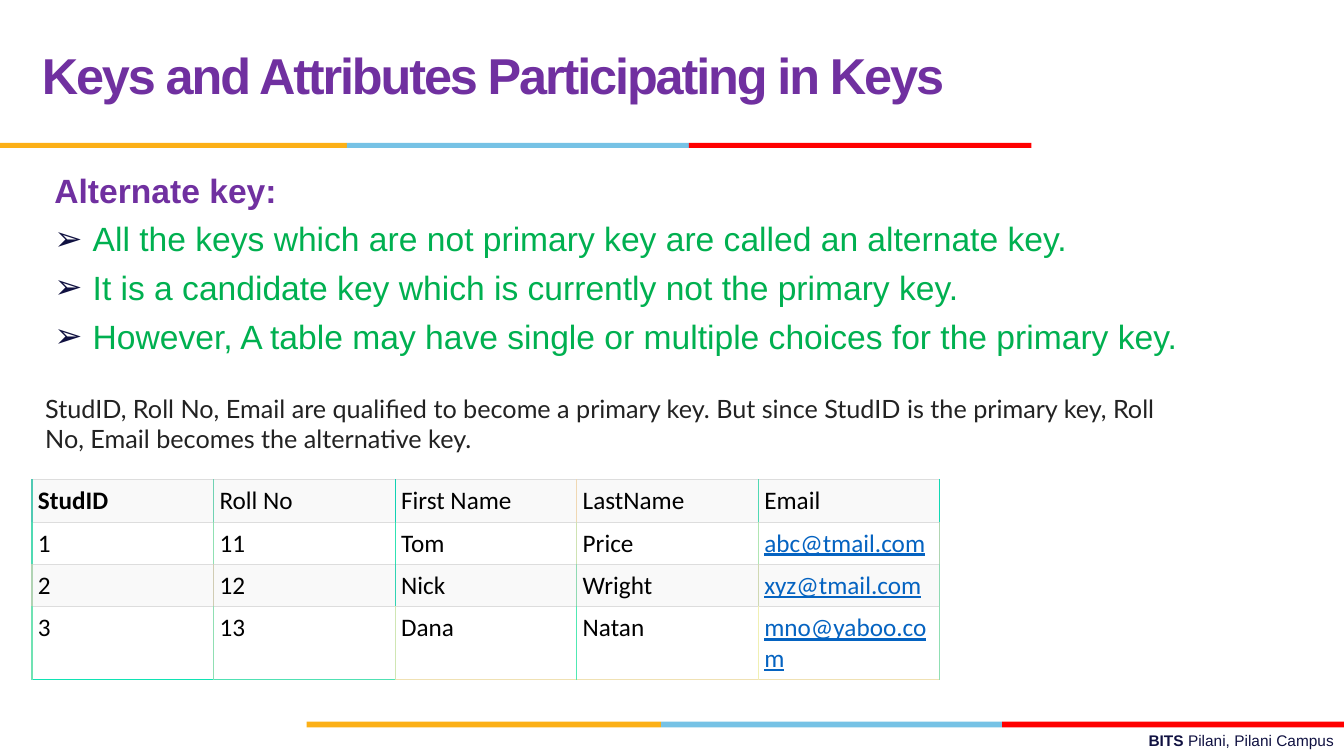
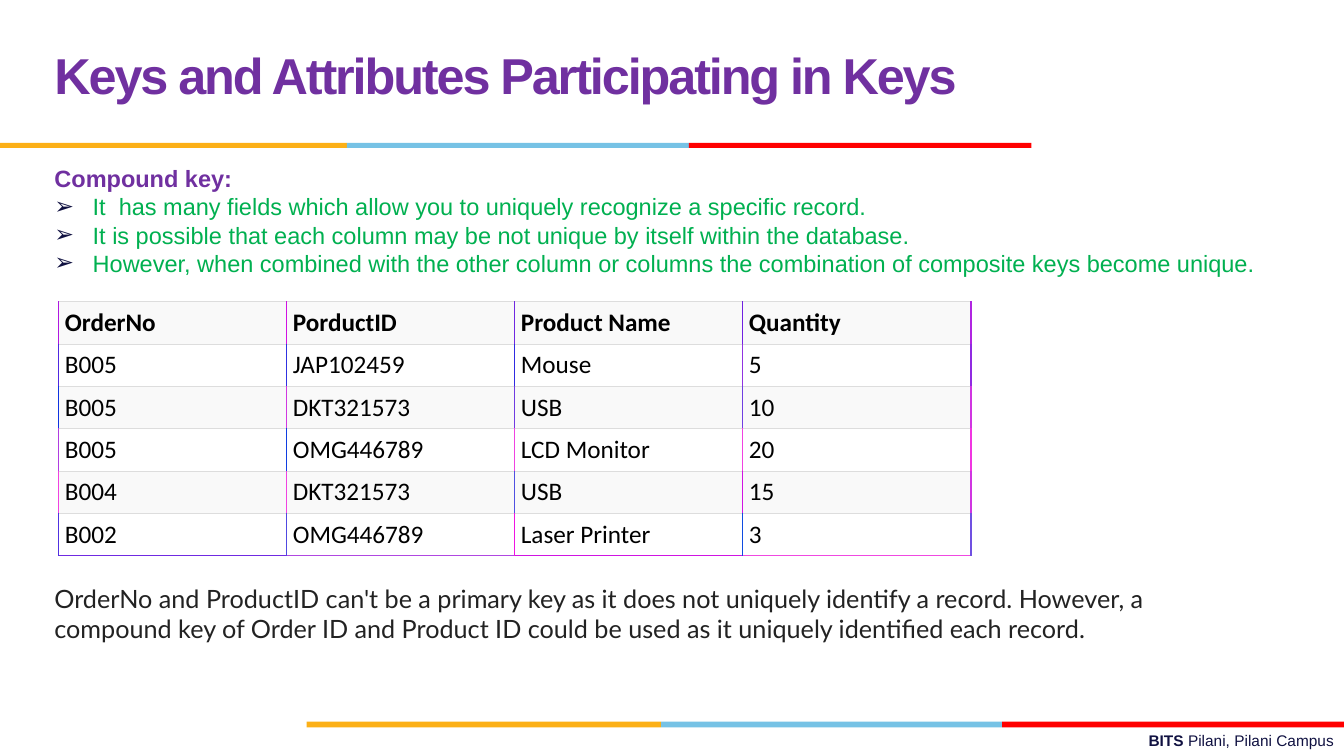
from lxml import etree
from pptx import Presentation
from pptx import util as u
from pptx.dml.color import RGBColor
from pptx.enum import shapes, text
from pptx.oxml.ns import qn

COLUMNS, ROWS = 160, 90
UNIT = u.Inches(1) / 12
PURPLE = RGBColor(0x70, 0x30, 0xA0)
GREEN = RGBColor(0x00, 0xB0, 0x50)
NAVY = RGBColor(0x10, 0x11, 0x41)
ORANGE = RGBColor(0xFC, 0xB0, 0x17)
SKY = RGBColor(0x76, 0xC2, 0xE5)
RED = RGBColor(0xFF, 0x00, 0x00)
BLACK = RGBColor(0x00, 0x00, 0x00)
CHARCOAL = RGBColor(0x22, 0x22, 0x22)
LINK = RGBColor(0x05, 0x63, 0xC1)
STRIPES = RGBColor(0xF9, 0xF9, 0xF9), RGBColor(0xFF, 0xFF, 0xFF)
RULE = RGBColor(0xDD, 0xDD, 0xDD)

TITLE = "Keys and Attributes Participating in Keys"

ALTERNATE = {
    "title_left": 3.8,
    "points": {
        "box": (5.3, 19.6, 149.3, 24.1), "size": 24, "spacing": 1.0,
        "heading": "Alternate key:",
        "items": [
            "All the keys which are not primary key are called an alternate key.",
            "It is a candidate key which is currently not the primary key.",
            "However, A table may have single or multiple choices for the primary key.",
        ],
    },
    "records": {
        "box": (3.8, 57.1, 108.1, 19.8), "bold_headings": 1,
        "rows": [
            ["StudID", "Roll No", "First Name", "LastName", "Email"],
            ["1", "11", "Tom", "Price", "abc@tmail.com"],
            ["2", "12", "Nick", "Wright", "xyz@tmail.com"],
            ["3", "13", "Dana", "Natan", "mno@yaboo.com"],
        ],
        "edges": [
            "50C9B3 70D2B3 10D1B3 F0D8B3 50D9B3 10D8B3",
            "50DAB3 90E0B3 30E2B3 D0E3B3 B0E6B3 B0D5B3",
            "B0D3B3 D0CCB3 30D3B3 90DAB3 D0D9B3 90DAB3",
            "70E2B3 90DFB3 D0E6B3 50E9B3 F0F0B3 90DFB3",
        ],
        "base": "10E3B3 50E1B3 F0E1B3 F0E1B3 F0E1B3",
    },
    "remark": {
        "box": (4.2, 46.2, 138.6, 8.5),
        "wording": "StudID, Roll No, Email are qualified to become a primary key. "
                   "But since StudID is the primary key, Roll No, Email becomes "
                   "the alternative key.",
    },
}

COMPOUND = {
    "title_left": 5.3,
    "points": {
        "box": (5.3, 19.6, 148.8, 15), "size": 16.8, "spacing": 0.8,
        "heading": "Compound key:",
        "items": [
            "It  has many fields which allow you to uniquely recognize a specific record.",
            "It is possible that each column may be not unique by itself within the database.",
            "However, when combined with the other column or columns the combination "
            "of composite keys become unique.",
        ],
    },
    "records": {
        "box": (7, 35.9, 108.6, 29.7), "bold_headings": 4,
        "rows": [
            ["OrderNo", "PorductID", "Product Name", "Quantity"],
            ["B005", "JAP102459", "Mouse", "5"],
            ["B005", "DKT321573", "USB", "10"],
            ["B005", "OMG446789", "LCD Monitor", "20"],
            ["B004", "DKT321573", "USB", "15"],
            ["B002", "OMG446789", "Laser Printer", "3"],
        ],
        "edges": [
            "B018E2 D012E2 7028E1 7021E1 B025E1",
            "5028E1 3031E1 302AE1 9034E1 902AE1",
            "1033E1 D038E1 703BE1 703FE1 D035E1",
            "B03DE1 103EE1 F042E1 F042E1 F035E1",
            "F042E1 F043E1 5050E1 D014E2 D035E1",
            "5031E1 5049E1 F014E2 104CE1 7050E1",
        ],
        "base": "702AE1 B048E1 D014E2 F049E1",
    },
    "remark": {
        "box": (5.3, 68.8, 133.4, 8.5),
        "wording": "OrderNo and ProductID can't be a primary key as it does not uniquely "
                   "identify a record. However, a compound key of Order ID and Product ID "
                   "could be used as it uniquely identified each record.",
    },
}


def span(*cells):
    """Turn grid columns or rows into lengths."""
    return [u.Emu(round(cell * UNIT)) for cell in cells]


def style(font, size, name, color, bold=False):
    """Set the look of a run or paragraph font."""
    font.size, font.name, font.bold = u.Pt(size), name, bold
    font.color.rgb = color


def add_frame(slide, box):
    """Add a wrapping text box and return its frame."""
    frame = slide.shapes.add_textbox(*span(*box)).text_frame
    frame.word_wrap = True
    return frame


def add_band(slide, stops, top, height):
    """Draw the three-coloured band between the given columns."""
    for start, end, color in zip(stops, stops[1:], (ORANGE, SKY, RED)):
        stripe = slide.shapes.add_shape(
            shapes.MSO_SHAPE.RECTANGLE, *span(start, top, end - start, height))
        stripe.shadow.inherit = False
        stripe.fill.solid()
        stripe.fill.fore_color.rgb = color
        stripe.line.fill.background()


def add_footer(slide, box):
    """Write the campus line at the right."""
    campus = add_frame(slide, box).paragraphs[0]
    campus.alignment = text.PP_ALIGN.RIGHT
    for wording, bold in (("BITS ", True), ("Pilani, Pilani Campus", False)):
        run = campus.add_run()
        run.text = wording
        style(run.font, 11, "Arial", NAVY, bold)


def add_title(slide, box):
    """Write the slide title, tightly tracked."""
    frame = add_frame(slide, box)
    frame.vertical_anchor = text.MSO_ANCHOR.MIDDLE
    frame.text = TITLE
    heading = frame.paragraphs[0]
    heading.line_spacing = u.Pt(36)
    run = heading.runs[0]
    style(run.font, 36, "Arial", PURPLE, True)
    run.font._element.set("spc", "-150")


def add_bullet(paragraph):
    """Give a paragraph an arrow bullet."""
    props = paragraph._p.get_or_add_pPr()
    tint = etree.SubElement(props, qn("a:buClr"))
    etree.SubElement(tint, qn("a:srgbClr")).set("val", str(NAVY))
    etree.SubElement(props, qn("a:buFont")).set("typeface", "Arial")
    etree.SubElement(props, qn("a:buChar")).set("char", "➢")


def add_points(slide, box, size, spacing, heading, items):
    """Write a heading with bulleted statements below it."""
    frame = add_frame(slide, box)
    frame.text = "\n".join([heading, *items])
    hanging = u.Inches(0.38)
    for index, paragraph in enumerate(frame.paragraphs):
        props = paragraph._p.get_or_add_pPr()
        props.set("marL", str(hanging))
        props.set("indent", str(-hanging))
        if index:
            add_bullet(paragraph)
            paragraph.space_before = u.Pt(round(size / 4))
        paragraph.line_spacing = spacing
        style(paragraph.runs[0].font, size, "Arial",
              GREEN if index else PURPLE, not index)


def add_borders(cell, **sides):
    """Draw cell borders from a colour and a width for each side."""
    props = cell._tc.get_or_add_tcPr()
    for side in "LRTB":
        color, width = sides[side]
        line = etree.SubElement(props, qn("a:ln" + side), w=str(u.Pt(width)))
        fill = etree.SubElement(line, qn("a:solidFill"))
        etree.SubElement(fill, qn("a:srgbClr")).set("val", str(color))


def fill_cell(cell, wording, stripe, bold):
    """Write one value on its stripe colour."""
    cell.margin_left = cell.margin_right = u.Inches(0.06)
    cell.margin_top = cell.margin_bottom = u.Inches(0.06)
    cell.fill.solid()
    cell.fill.fore_color.rgb = stripe
    cell.text_frame.text = wording
    font = cell.text_frame.paragraphs[0].runs[0].font
    is_address = "@" in wording
    style(font, 18, "Calibri", LINK if is_address else BLACK, bold)
    font.underline = is_address


def add_records(slide, box, bold_headings, rows, edges, base):
    """Build a striped table with coloured upright edges."""
    grid = slide.shapes.add_table(len(rows), len(rows[0]), *span(*box)).table
    for r, (values, edge) in enumerate(zip(rows, edges)):
        uprights = edge.split()
        for c, value in enumerate(values):
            cell = grid.cell(r, c)
            is_last = r == len(rows) - 1
            add_borders(
                cell, L=(uprights[c], 1), R=(uprights[c + 1], 1), T=(RULE, 0.5),
                B=(base.split()[c], 1) if is_last else (RULE, 0.5))
            fill_cell(cell, value, STRIPES[r % 2], r == 0 and c < bold_headings)


def add_remark(slide, box, wording):
    """Write the closing explanation."""
    frame = add_frame(slide, box)
    frame.text = wording
    style(frame.paragraphs[0].runs[0].font, 18, "Lato", CHARCOAL)


def add_key_slide(deck, content):
    """Build one slide about a kind of key."""
    slide = deck.slides.add_slide(deck.slide_layouts[6])
    add_footer(slide, (57.3, 86.5, 102.7, 3.5))
    add_band(slide, (36.5, 78.7, 119.3, COLUMNS), 85.9, 0.7)
    add_band(slide, (0, 41.3, 82, 122.8), 17, 0.6)
    add_points(slide, **content["points"])
    add_title(slide, (content["title_left"], 2, 110.6, 15))
    add_records(slide, **content["records"])
    add_remark(slide, **content["remark"])


def main():
    """Build and save the deck."""
    deck = Presentation()
    deck.slide_width, deck.slide_height = span(COLUMNS, ROWS)
    for content in (ALTERNATE, COMPOUND):
        add_key_slide(deck, content)
    deck.save("out.pptx")


if __name__ == "__main__":
    main()
